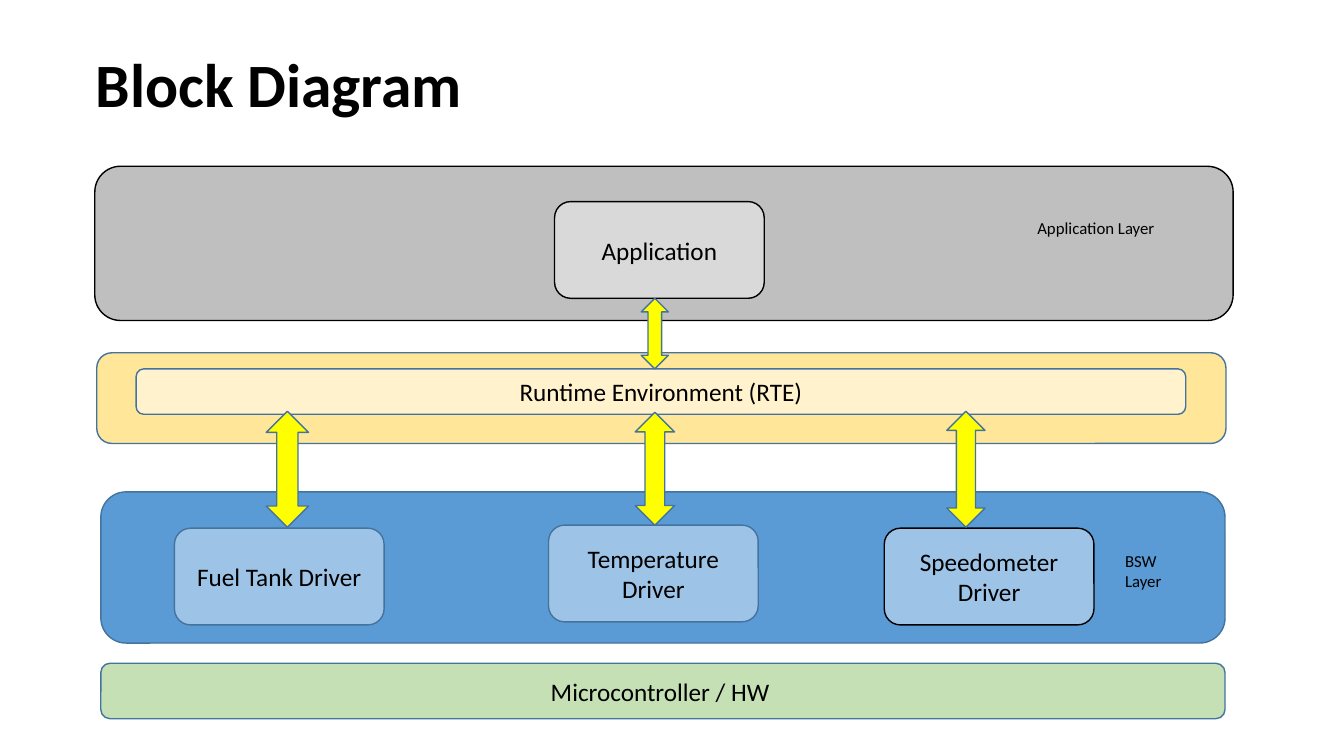
from pptx import Presentation
from pptx.dml.color import RGBColor
from pptx.enum.shapes import MSO_SHAPE as Shape
from pptx.enum.text import MSO_ANCHOR as Anchor, PP_ALIGN as Align
from pptx.util import Inches, Pt

BLACK = "000000"
STEEL = "43739E"
BOX_SIZE = (2.08, 0.96)

LAYERS = [
    ((0.94, 1.65, 11.29, 1.53), "BFBFBF", BLACK, ""),
    ((1, 4.88, 11.15, 1.5), "5B9BD5", STEEL, ""),
    ((0.96, 3.5, 11.2, 0.9), "FFE699", STEEL, ""),
    ((1.35, 3.66, 10.41, 0.45), "FFF2CC", STEEL, "Runtime Environment (RTE)"),
    ((1, 6.58, 11.15, 0.55), "C5E0B4", STEEL, "Microcontroller / HW "),
]
COMPONENTS = [
    ((5.5, 2), "D9D9D9", BLACK, "Application"),
    ((1.73, 5.24), "9DC3E6", STEEL, "Fuel Tank Driver"),
    ((5.44, 5.21), "9DC3E6", STEEL, "Temperature Driver"),
    ((8.77, 5.24), "9DC3E6", BLACK, "Speedometer Driver"),
]
ARROWS = [
    (6.36, 2.96, 0.27, 0.7),
    (9.39, 4.08, 0.38, 1.15),
    (6.3, 4.09, 0.39, 1.12),
    (2.64, 4.08, 0.42, 1.15),
]
LAYER_NAMES = [
    ((10.19, 2.11, 1.57, 0.3), "Application Layer"),
    ((11.06, 5.41, 0.82, 0.5), "BSW Layer"),
]


def color(value):
    return RGBColor.from_string(value)


def lengths(box):
    return [Inches(value) for value in box]


def write(shape, text, size, bold=False, align=Align.LEFT,
          anchor=Anchor.MIDDLE, spacing=1.0):
    frame = shape.text_frame
    frame.word_wrap = True
    frame.vertical_anchor = anchor
    paragraph = frame.paragraphs[0]
    paragraph.alignment = align
    paragraph.line_spacing = spacing
    run = paragraph.add_run()
    run.text = text
    run.font.color.rgb = color(BLACK)
    font_format = {"name": "Calibri", "size": Pt(size), "bold": bold}
    for name, value in font_format.items():
        setattr(run.font, name, value)


def add_label(slide, box, text, size, **text_format):
    write(slide.shapes.add_textbox(*lengths(box)), text, size, **text_format)


def add_block(slide, kind, box, fill, line, text=""):
    shape = slide.shapes.add_shape(kind, *lengths(box))
    shape.shadow.inherit = False
    shape.fill.solid()
    shape.fill.fore_color.rgb = color(fill)
    shape.line.color.rgb = color(line)
    shape.line.width = Pt(1)
    if text:
        write(shape, text, 18, align=Align.CENTER)


def main():
    presentation = Presentation()
    presentation.slide_width = Inches(13.33)
    presentation.slide_height = Inches(7.5)
    slide = presentation.slides.add_slide(presentation.slide_layouts[6])

    add_label(slide, (0.85, 0.4, 11.57, 0.94), "Block Diagram", 44,
              bold=True, spacing=0.9)
    for box, fill, line, text in LAYERS:
        add_block(slide, Shape.ROUNDED_RECTANGLE, box, fill, line, text)
    for corner, fill, line, text in COMPONENTS:
        add_block(slide, Shape.ROUNDED_RECTANGLE, corner + BOX_SIZE,
                  fill, line, text)
    for box, text in LAYER_NAMES:
        add_label(slide, box, text, 12, anchor=Anchor.TOP)
    for box in ARROWS:
        add_block(slide, Shape.UP_DOWN_ARROW, box, "FFFF00", STEEL)

    presentation.save("out.pptx")


main()
